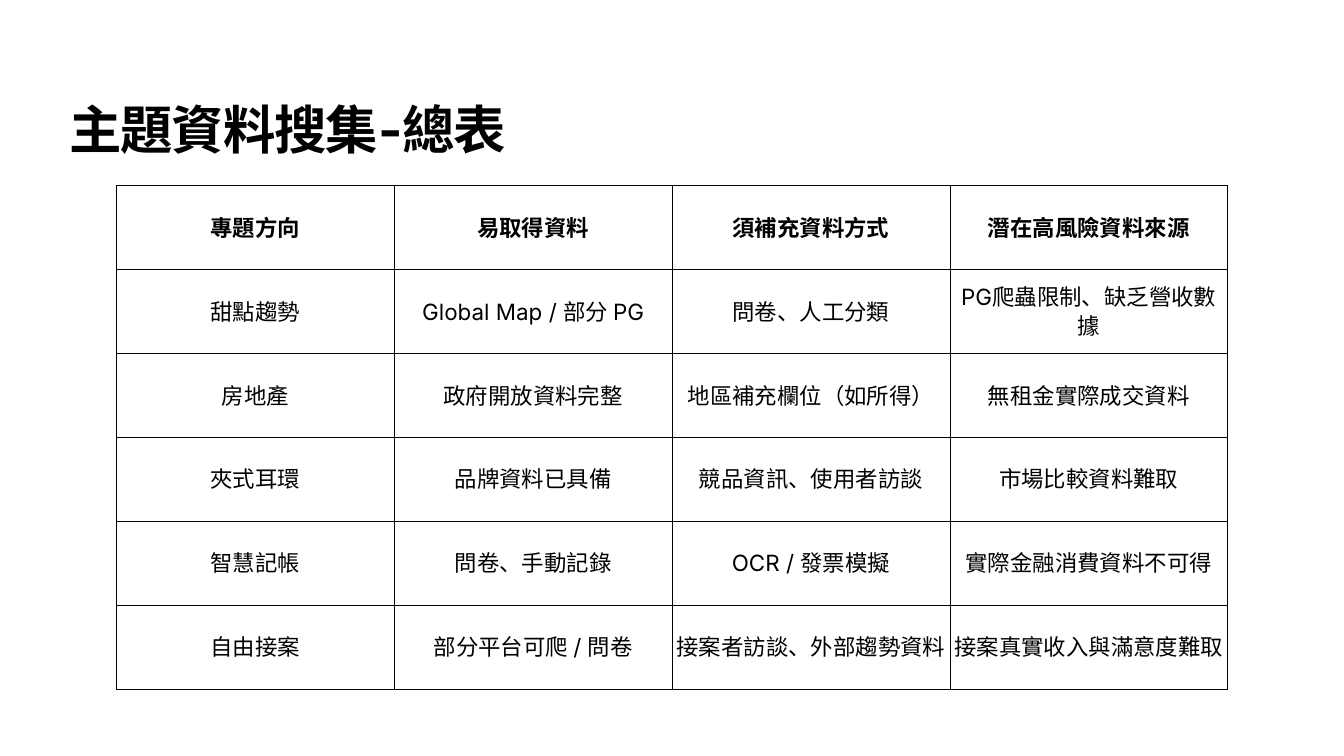
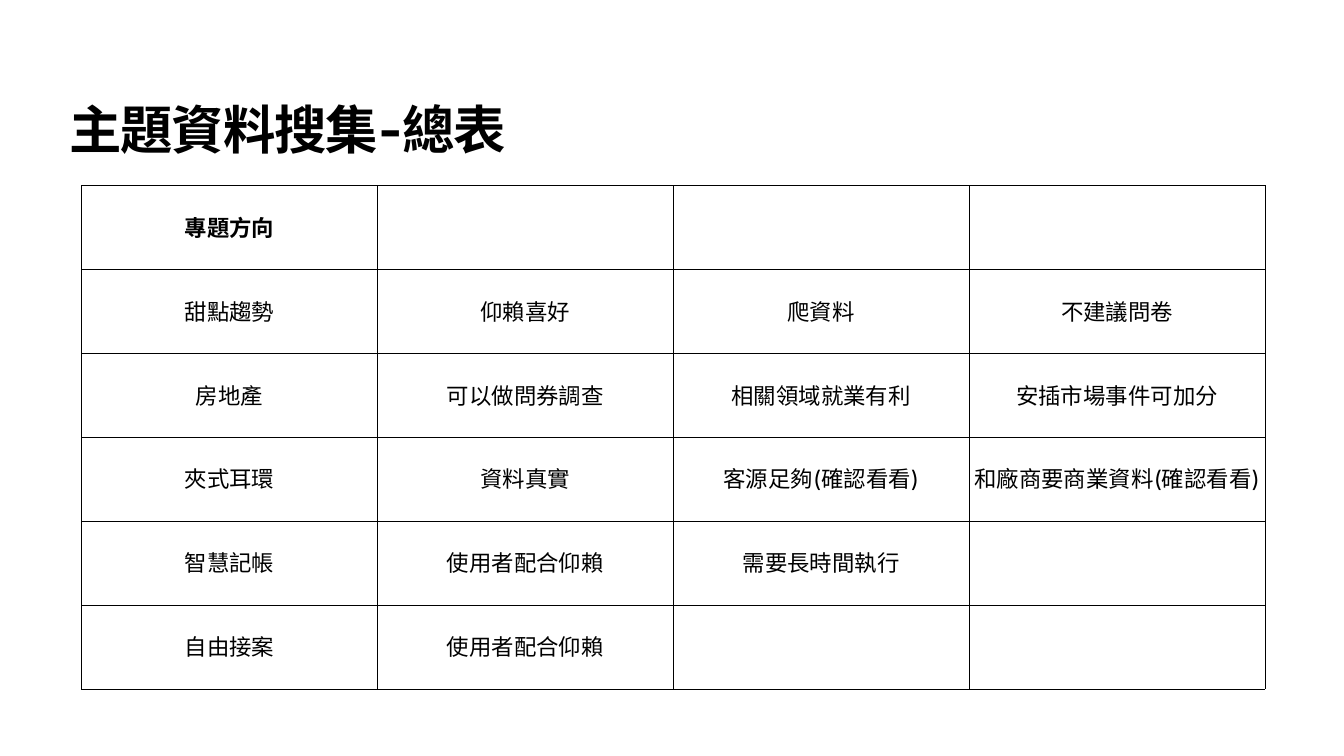
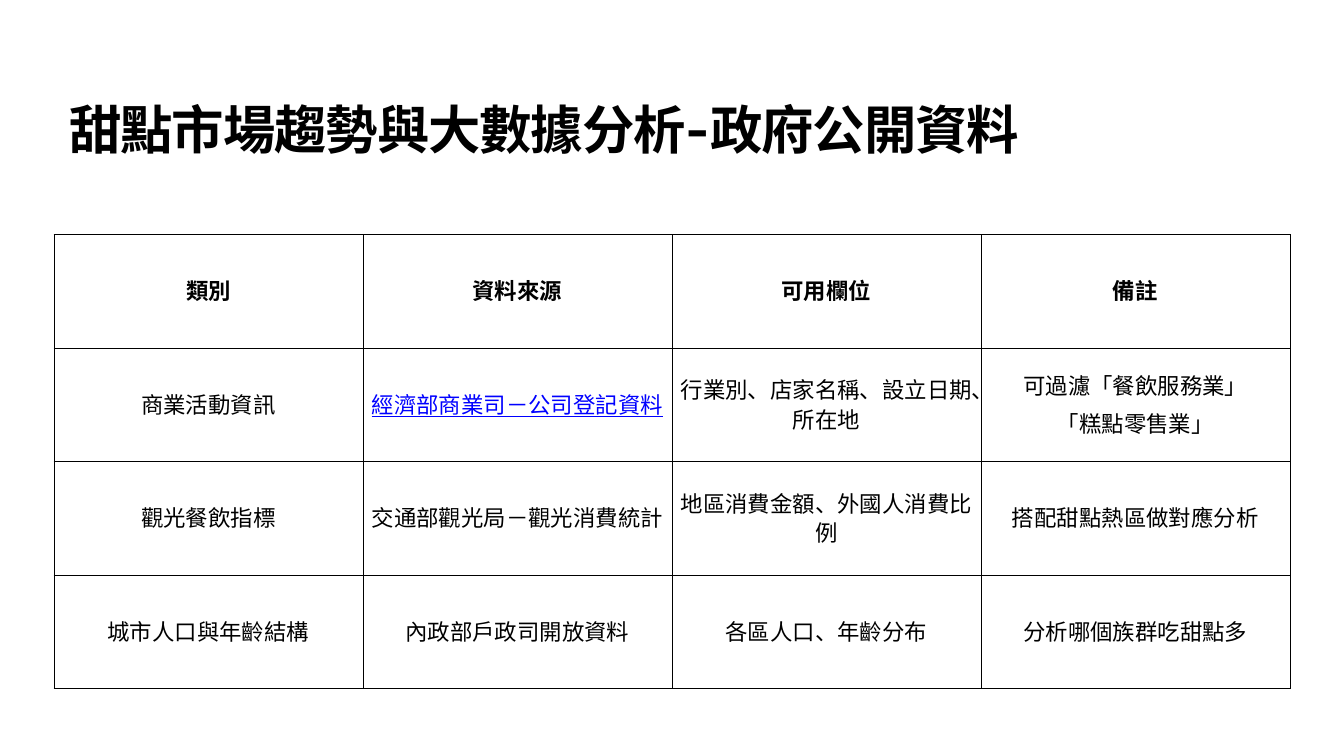
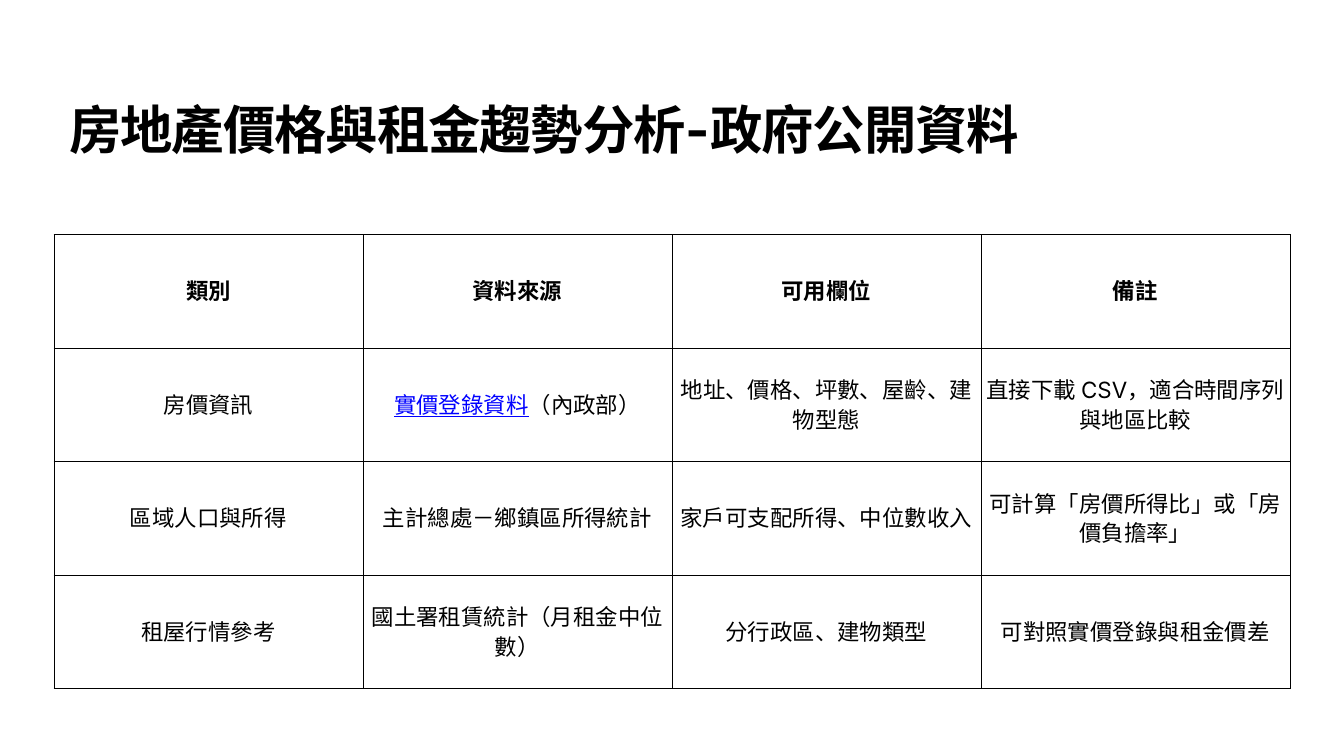
from lxml import etree
from pptx import Presentation
from pptx.dml.color import RGBColor
from pptx.enum import text
from pptx.oxml.ns import qn
from pptx.util import Cm, Pt

COLOURS = {"ink": "000000", "link": "0000FF", "paper": "FFFFFF"}
FONT = "Inter"
TITLE_BOX = [Cm(n) for n in (3.35, 5.36, 61.04, 3.99)]
TITLE_FRAME = {"word_wrap": True, "vertical_anchor": text.MSO_ANCHOR.TOP,
               **{f"margin_{side}": Cm(0.15) for side in ("left", "right", "top", "bottom")}}
TITLE_FONT = {"name": FONT, "size": Pt(74.8), "bold": True}
CELL_FORMAT = {"vertical_anchor": text.MSO_ANCHOR.MIDDLE,
               **{f"margin_{side}": Cm(0.03) for side in ("left", "right", "top", "bottom")}}
CELL_PARA = {"alignment": text.PP_ALIGN.CENTER, "line_spacing": 0.9, "space_before": Pt(12)}
CELL_FONT = {"name": FONT, "size": Pt(32)}
PLAIN_TABLE = {"first_row": False, "horz_banding": False}

SOURCE_HEADS = ["類別", "資料來源", "可用欄位", "備註"]
SUMMARY_TITLE = "主題資料搜集-總表"

# Each page: title, table left, top, width, height in cm, rows.
# A cell given as a tuple starts with a span in the link style.
PAGES = [
    (SUMMARY_TITLE, (5.87, 9.35, 56, 25.37), [
        ["專題方向", "易取得資料", "須補充資料方式", "潛在高風險資料來源"],
        ["甜點趨勢", "Global Map / 部分 PG", "問卷、人工分類", "PG爬蟲限制、缺乏營收數據"],
        ["房地產", "政府開放資料完整", "地區補充欄位（如所得）", "無租金實際成交資料"],
        ["夾式耳環", "品牌資料已具備", "競品資訊、使用者訪談", "市場比較資料難取"],
        ["智慧記帳", "問卷、手動記錄", "OCR / 發票模擬", "實際金融消費資料不可得"],
        ["自由接案", "部分平台可爬 / 問卷", "接案者訪談、外部趨勢資料", "接案真實收入與滿意度難取"],
    ]),
    (SUMMARY_TITLE, (4.11, 9.35, 59.64, 25.37), [
        ["專題方向", "", "", ""],
        ["甜點趨勢", "仰賴喜好", "爬資料", "不建議問卷"],
        ["房地產", "可以做問券調查", "相關領域就業有利", "安插市場事件可加分"],
        ["夾式耳環", "資料真實", "客源足夠(確認看看)", "和廠商要商業資料(確認看看)"],
        ["智慧記帳", "使用者配合仰賴", "需要長時間執行", ""],
        ["自由接案", "使用者配合仰賴", "", ""],
    ]),
    ("甜點市場趨勢與大數據分析-政府公開資料", (2.72, 11.81, 62.28, 22.89), [
        SOURCE_HEADS,
        ["商業活動資訊", ("經濟部商業司－公司登記資料", ""),
         "行業別、店家名稱、設立日期、所在地", "可過濾「餐飲服務業」\n「糕點零售業」"],
        ["觀光餐飲指標", "交通部觀光局－觀光消費統計",
         "地區消費金額、外國人消費比例", "搭配甜點熱區做對應分析"],
        ["城市人口與年齡結構", "內政部戶政司開放資料",
         "各區人口、年齡分布", "分析哪個族群吃甜點多"],
    ]),
    ("房地產價格與租金趨勢分析-政府公開資料", (2.72, 11.81, 62.28, 22.89), [
        SOURCE_HEADS,
        ["房價資訊", ("實價登錄資料", "（內政部）"),
         "地址、價格、坪數、屋齡、建物型態", "直接下載 CSV，適合時間序列與地區比較"],
        ["區域人口與所得", "主計總處－鄉鎮區所得統計",
         "家戶可支配所得、中位數收入", "可計算「房價所得比」或「房價負擔率」"],
        ["租屋行情參考", "國土署租賃統計（月租金中位數）",
         "分行政區、建物類型", "可對照實價登錄與租金價差"],
    ]),
]


def apply_format(target, values):
    for name, value in values.items():
        setattr(target, name, value)


def add_span(para, wording, font, colour="ink"):
    span = para.add_run()
    span.text = wording
    apply_format(span.font, font)
    span.font.color.rgb = RGBColor.from_string(COLOURS[colour])
    return span


deck = Presentation()
deck.slide_width, deck.slide_height = Cm(67.73), Cm(38.1)

for title, place, rows in PAGES:
    page = deck.slides.add_slide(deck.slide_layouts[6])

    title_frame = page.shapes.add_textbox(*TITLE_BOX).text_frame
    apply_format(title_frame, TITLE_FRAME)
    title_para = title_frame.paragraphs[0]
    title_para.line_spacing = 0.8
    title_span = add_span(title_para, title, TITLE_FONT)
    title_span.font._element.set("spc", "-150")

    left, top, width, height = place
    table = page.shapes.add_table(len(rows), len(rows[0]), Cm(left), Cm(top),
                                  Cm(width), Cm(height)).table
    apply_format(table, PLAIN_TABLE)

    for row_index, row in enumerate(rows):
        for column_index, content in enumerate(row):
            cell = table.cell(row_index, column_index)
            apply_format(cell, CELL_FORMAT)
            for edge in ("lnL", "lnR", "lnT", "lnB"):
                line = etree.SubElement(cell._tc.get_or_add_tcPr(), qn(f"a:{edge}"), w=str(Pt(1)))
                fill = etree.SubElement(line, qn("a:solidFill"))
                etree.SubElement(fill, qn("a:srgbClr"), val=COLOURS["ink"])
            cell.fill.solid()
            cell.fill.fore_color.rgb = RGBColor.from_string(COLOURS["paper"])

            linked, plain = content if isinstance(content, tuple) else ("", content)
            font = {**CELL_FONT, "bold": row_index == 0}
            for line_index, wording in enumerate(plain.split("\n")):
                para = cell.text_frame.paragraphs[0] if line_index == 0 else cell.text_frame.add_paragraph()
                apply_format(para, CELL_PARA)
                if linked:
                    add_span(para, linked, {**font, "underline": True}, "link")
                if wording:
                    add_span(para, wording, font)

deck.save("out.pptx")
